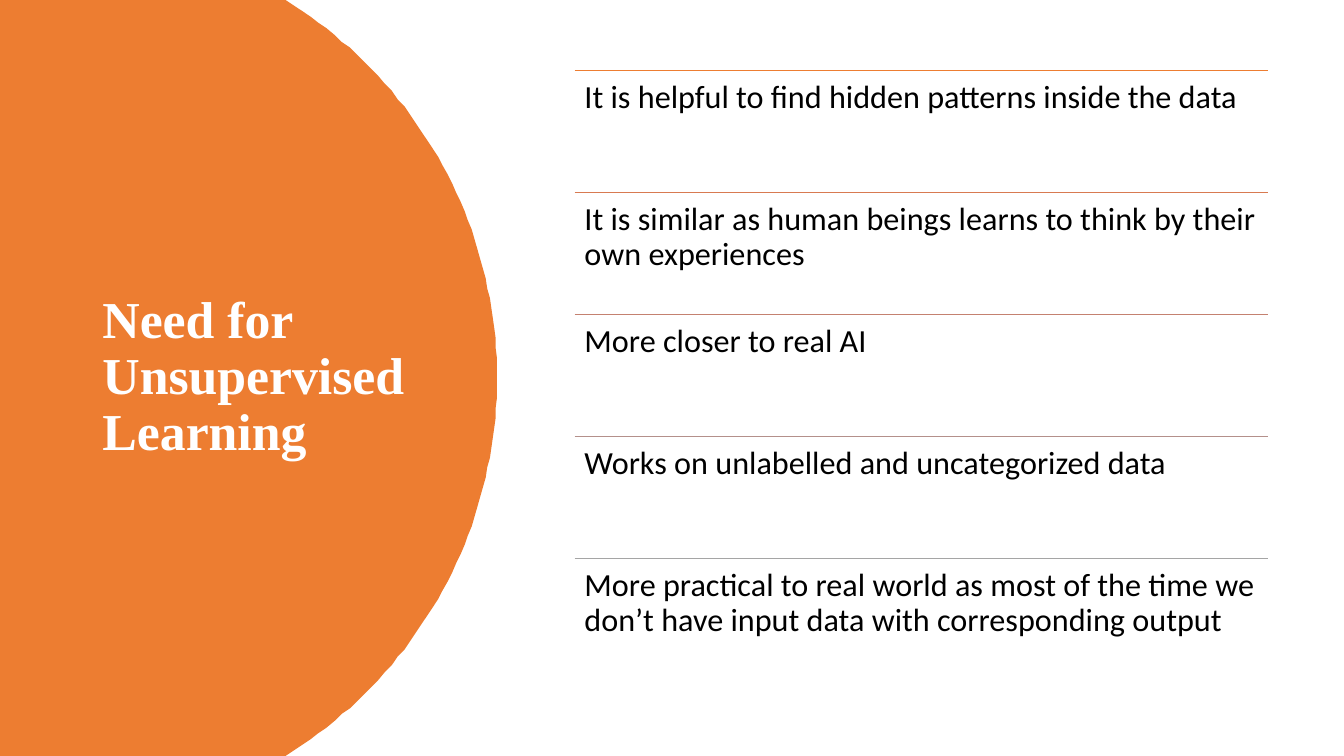
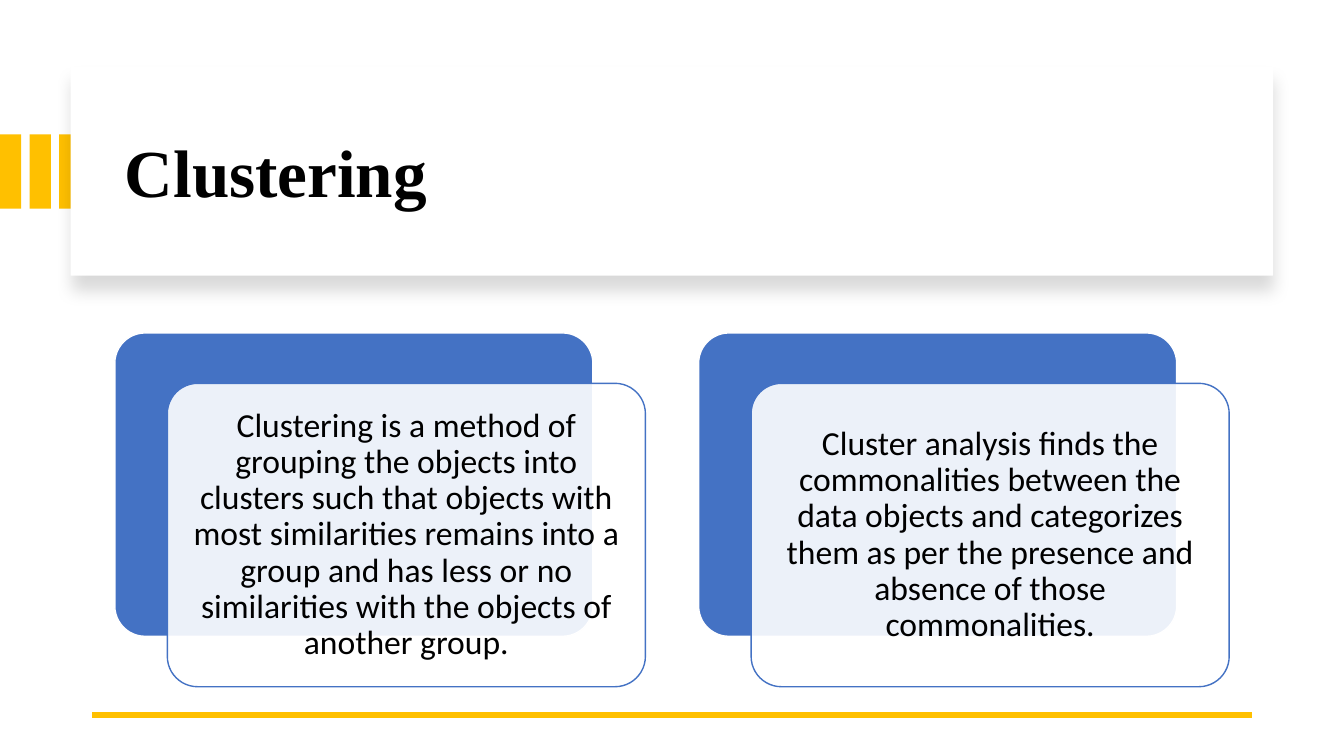
import math
from dataclasses import dataclass

import lxml.etree
import pptx
import pptx.dml.color
import pptx.enum.shapes
import pptx.enum.text
import pptx.oxml.ns
import pptx.util

Pt = pptx.util.Pt
SHAPE = pptx.enum.shapes.MSO_SHAPE
ALIGN = pptx.enum.text.PP_ALIGN
ANCHOR = pptx.enum.text.MSO_ANCHOR


@dataclass(frozen=True)
class Theme:
    width: float = 960
    height: float = 540
    title_font: str = "Times New Roman"
    body_font: str = "Calibri"
    side_title_size: float = 37
    panel_title_size: float = 48
    row_size: float = 23
    card_size: float = 24
    line_spacing: float = 0.9
    inset: float = 7.2
    thin_line: float = 1
    thick_line: float = 4.5
    white: str = "FFFFFF"
    black: str = "000000"
    orange: str = "ED7D31"
    gold: str = "FFC000"
    blue: str = "4472C4"
    row_colors: tuple = ("ED7D31", "D87A51", "C48170", "B4908B", "A5A5A5")


THEME = Theme()

NEEDS = (
    "It is helpful to find hidden patterns inside the data",
    "It is similar as human beings learns to think by their own experiences",
    "More closer to real AI",
    "Works on unlabelled and uncategorized data",
    "More practical to real world as most of the time we don’t have input data "
    "with corresponding output",
)
CLUSTERING = (
    "Clustering is a method of grouping the objects into clusters such that objects "
    "with most similarities remains into a group and has less or no similarities "
    "with the objects of another group.",
    "Cluster analysis finds the commonalities between the data objects and categorizes "
    "them as per the presence and absence of those commonalities.",
)


# Shared helpers

def rgb(color):
    return pptx.dml.color.RGBColor.from_string(color)


def points(*lengths):
    return [Pt(length) for length in lengths]


def add_xml(parent, tag, **attributes):
    return lxml.etree.SubElement(parent, pptx.oxml.ns.qn(tag), attributes)


def style_shape(shape, fill, line=None):
    shape.shadow.inherit = False
    shape.fill.solid()
    shape.fill.fore_color.rgb = rgb(fill)
    if line:
        shape.line.color.rgb = rgb(line)
        shape.line.width = Pt(THEME.thin_line)
    else:
        shape.line.fill.background()


def add_box(slide, kind, box, fill, line=None):
    shape = slide.shapes.add_shape(kind, *points(*box))
    style_shape(shape, fill, line)
    return shape


def add_rule(slide, left, top, width, color, weight):
    rule = slide.shapes.add_connector(
        pptx.enum.shapes.MSO_CONNECTOR.STRAIGHT, *points(left, top, left + width, top))
    rule.line.color.rgb = rgb(color)
    rule.line.width = Pt(weight)
    add_xml(rule.element.spPr, "a:effectLst")


def write(shape, text, size, color=THEME.black, font=THEME.body_font, bold=False,
          align=ALIGN.LEFT, anchor=ANCHOR.TOP):
    frame = shape.text_frame
    frame.text = text
    frame.word_wrap = True
    frame.auto_size = pptx.enum.text.MSO_AUTO_SIZE.NONE
    frame.vertical_anchor = anchor
    paragraph = frame.paragraphs[0]
    paragraph.alignment = align
    paragraph.line_spacing = THEME.line_spacing
    for run in paragraph.runs:
        run.font.name = font
        run.font.size = Pt(size)
        run.font.bold = bold
        run.font.color.rgb = rgb(color)


def set_insets(shape):
    frame = shape.text_frame
    frame.margin_left = frame.margin_right = Pt(THEME.inset)
    frame.margin_top = frame.margin_bottom = Pt(THEME.inset)


def place_title(slide, text, box, size, color):
    title = slide.shapes.title
    title.left, title.top, title.width, title.height = points(*box)
    write(title, text, size, color, THEME.title_font, bold=True, anchor=ANCHOR.MIDDLE)
    # Bring the title in front of the shapes drawn so far
    title.element.getparent().append(title.element)


# Regions

def add_round_panel(slide, box, shoulder):
    """Panel whose right side is an arc that bulges out from the shoulder."""
    left, top, width, height = box
    bulge, half = width - shoulder, height / 2
    radius = (bulge ** 2 + half ** 2) / (2 * bulge)
    center = left + width - radius
    sweep = math.asin(half / radius)
    steps = 90
    angles = [sweep * (2 * step / steps - 1) for step in range(steps + 1)]
    arc = [(center + radius * math.cos(angle), top + half + radius * math.sin(angle))
           for angle in angles]
    builder = slide.shapes.build_freeform(left, top, scale=float(Pt(1)))
    builder.add_line_segments(arc + [(left, top + height)], close=True)
    style_shape(builder.convert_to_shape(), THEME.orange)


def add_ruled_rows(slide, box, texts):
    left, top, width, height = box
    pitch = height / len(texts)
    for index, (text, color) in enumerate(zip(texts, THEME.row_colors)):
        row_top = top + index * pitch
        add_rule(slide, left, row_top, width, color, THEME.thin_line)
        row = slide.shapes.add_textbox(*points(left, row_top, width, pitch))
        set_insets(row)
        write(row, text, THEME.row_size)


def add_stripes(slide, box, count, gap):
    left, top, width, height = box
    stripe = (width - gap * (count - 1)) / count
    for index in range(count):
        add_box(slide, SHAPE.RECTANGLE,
                (left + index * (stripe + gap), top, stripe, height), THEME.gold)


def add_title_panel(slide, box):
    panel = add_box(slide, SHAPE.RECTANGLE, box, THEME.white)
    effects = panel.element.spPr.find(pptx.oxml.ns.qn("a:effectLst"))
    shadow = add_xml(effects, "a:outerShdw", blurRad=str(Pt(11)), dist=str(Pt(10)),
                     dir="5400000", algn="t", rotWithShape="0")
    color = add_xml(shadow, "a:srgbClr", val=THEME.black)
    add_xml(color, "a:alpha", val="15000")


def add_card(slide, box, text):
    """Blue card with a translucent text card shifted down and right."""
    left, top, width, height = box
    shift_x, shift_y = 37.5, 36
    size = (width - shift_x, height - shift_y)
    back = add_box(slide, SHAPE.ROUNDED_RECTANGLE, (left, top, *size),
                   THEME.blue, THEME.white)
    front = add_box(slide, SHAPE.ROUNDED_RECTANGLE,
                    (left + shift_x, top + shift_y, *size), THEME.white, THEME.blue)
    for card in (back, front):
        card.adjustments[0] = 0.1
    fill_color = front.element.spPr.find(
        pptx.oxml.ns.qn("a:solidFill")).find(pptx.oxml.ns.qn("a:srgbClr"))
    add_xml(fill_color, "a:alpha", val="90000")
    set_insets(front)
    write(front, text, THEME.card_size, align=ALIGN.CENTER, anchor=ANCHOR.MIDDLE)


def add_cards(slide, box, texts, gap):
    left, top, width, height = box
    card_width = (width - gap * (len(texts) - 1)) / len(texts)
    for index, text in enumerate(texts):
        add_card(slide, (left + index * (card_width + gap), top, card_width, height), text)


# Slides

def build_needs_slide(slide):
    add_round_panel(slide, (0, 0, 355, THEME.height), shoulder=203.5)
    place_title(slide, "Need for Unsupervised Learning", (66, 50.5, 232.5, 438.5),
                THEME.side_title_size, THEME.white)
    add_ruled_rows(slide, (410.4, 50.4, 495.4, 435.6), NEEDS)


def build_clustering_slide(slide):
    add_stripes(slide, (0, 96, 57.5, 53), count=3, gap=6)
    add_title_panel(slide, (50.5, 48, 859, 149))
    place_title(slide, "Clustering", (82, 64, 801.5, 122.5),
                THEME.panel_title_size, THEME.black)
    add_rule(slide, 66, 510.5, 828, THEME.gold, THEME.thick_line)
    add_cards(slide, (82, 237.8, 796, 252.7), CLUSTERING, gap=38)


def main():
    presentation = pptx.Presentation()
    presentation.slide_width, presentation.slide_height = points(THEME.width, THEME.height)
    title_only = presentation.slide_layouts.get_by_name("Title Only")
    for build in (build_needs_slide, build_clustering_slide):
        build(presentation.slides.add_slide(title_only))
    presentation.save("out.pptx")


if __name__ == "__main__":
    main()
